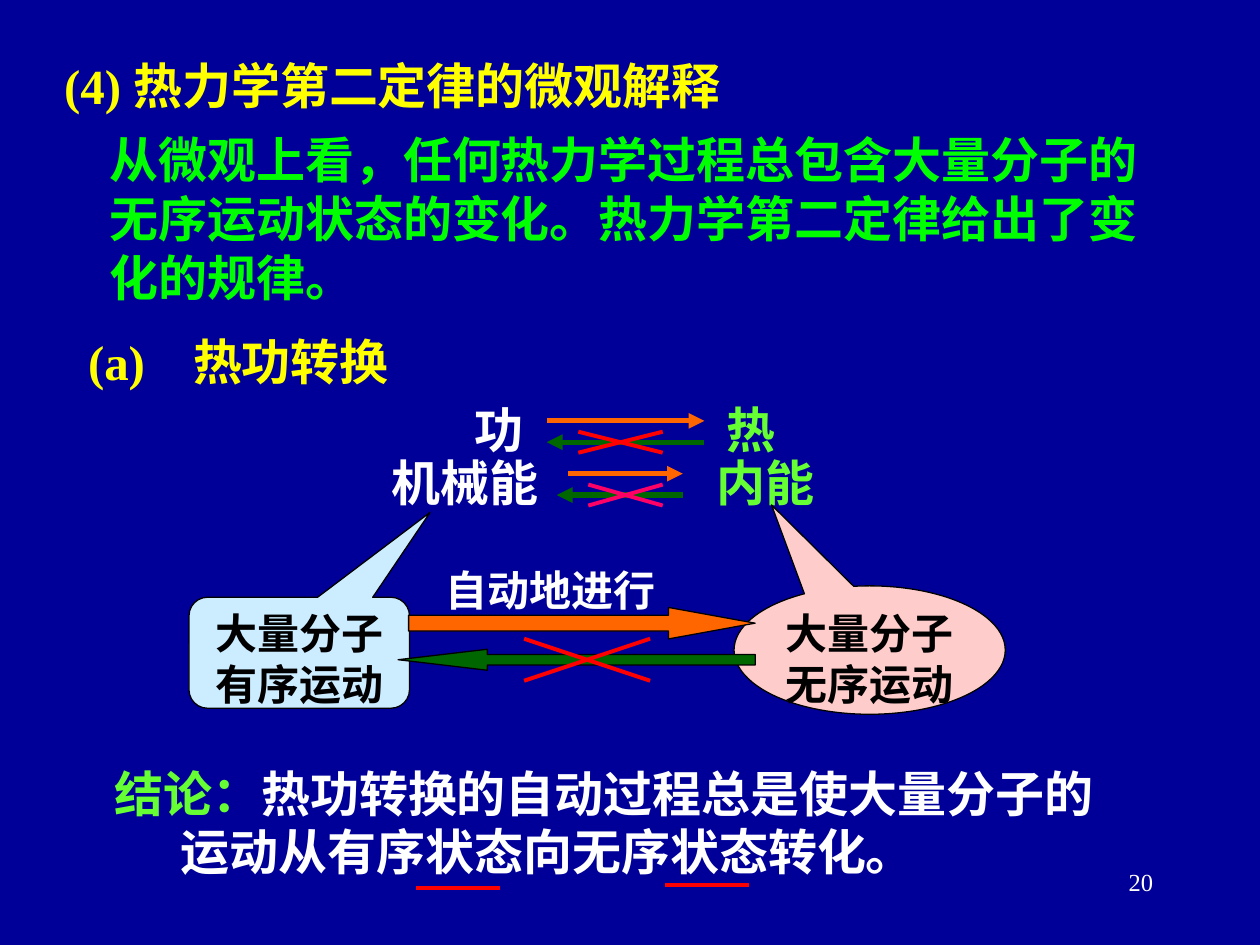
from dataclasses import dataclass

from lxml import etree
from pptx import Presentation
from pptx.dml.color import RGBColor
from pptx.enum.shapes import MSO_CONNECTOR, MSO_SHAPE
from pptx.enum.text import MSO_ANCHOR, PP_ALIGN
from pptx.oxml.ns import qn
from pptx.util import Pt

STRAIGHT = MSO_CONNECTOR.STRAIGHT
ROUND_CALLOUT = MSO_SHAPE.ROUNDED_RECTANGULAR_CALLOUT
OVAL_CALLOUT = MSO_SHAPE.OVAL_CALLOUT
RIGHT_ARROW = MSO_SHAPE.RIGHT_ARROW
LEFT_ARROW = MSO_SHAPE.LEFT_ARROW
TOP, MIDDLE = MSO_ANCHOR.TOP, MSO_ANCHOR.MIDDLE
LEFT, RIGHT = PP_ALIGN.LEFT, PP_ALIGN.RIGHT


@dataclass(frozen=True)
class Theme:
    latin: str = "Times New Roman"
    chinese: str = "Noto Sans CJK SC"
    background: str = "000099"
    heading: str = "FFFF00"
    body: str = "00FF00"
    heat: str = "66FF33"
    plain: str = "FFFFFF"
    dark: str = "000000"
    forward: str = "FF6600"
    backward: str = "006600"
    strike: str = "FF0000"
    strike_pink: str = "FF0066"
    ordered: str = "CCECFF"
    disordered: str = "FFCCCC"
    large: float = 28
    medium: float = 24
    small: float = 14
    large_leading: float = 33.6
    medium_leading: float = 29.5


THEME = Theme()


def rgb(value):
    return RGBColor.from_string(value)


def style_run(run, size, color, bold=True, latin=THEME.latin):
    run.font.size = Pt(size)
    run.font.bold = bold
    run.font.color.rgb = rgb(color)
    run.font.name = latin
    east_asian = etree.SubElement(run.font._element, qn("a:ea"))
    east_asian.set("typeface", THEME.chinese)


def add_text(slide, box, text, color, size=THEME.large, leading=THEME.large_leading,
             anchor=MIDDLE, align=LEFT, bold=True, drop=2):
    label = slide.shapes.add_textbox(*map(Pt, box))
    frame = label.text_frame
    frame.word_wrap = True
    frame.vertical_anchor = anchor
    frame.margin_top, frame.margin_bottom = Pt(3.6 + drop), Pt(3.6 - drop)
    frame.text = text
    for paragraph in frame.paragraphs:
        paragraph.alignment = align
        if leading:
            paragraph.line_spacing = Pt(leading)
        for run in paragraph.runs:
            style_run(run, size, color, bold)
    return frame


def indent(paragraph, margin, first=0):
    properties = paragraph._p.get_or_add_pPr()
    properties.set("marL", str(Pt(margin)))
    properties.set("indent", str(Pt(first)))


def add_line(slide, start, end, color, width, arrow=False):
    line = slide.shapes.add_connector(STRAIGHT, *map(Pt, (*start, *end)))
    line.line.color.rgb = rgb(color)
    line.line.width = Pt(width)
    properties = line._element.spPr
    if arrow:
        etree.SubElement(properties.find(qn("a:ln")), qn("a:tailEnd")).set("type", "triangle")
    etree.SubElement(properties, qn("a:effectLst"))


def add_cross(slide, box, color):
    left, top, width, height = box
    right, bottom = left + width, top + height
    add_line(slide, (left, top), (right, bottom), color, 2.25)
    add_line(slide, (left, bottom), (right, top), color, 2.25)


def add_block(slide, kind, box, fill, adjustments):
    block = slide.shapes.add_shape(kind, *map(Pt, box))
    block.shadow.inherit = False
    block.fill.solid()
    block.fill.fore_color.rgb = rgb(fill)
    block.line.color.rgb = rgb(THEME.dark)
    block.line.width = Pt(0.75)
    for index, value in enumerate(adjustments):
        block.adjustments[index] = value


def draw_introduction(slide, box):
    left, top, width, _ = box
    add_text(slide, (left, top, 527, 41), "(4) 热力学第二定律的微观解释", THEME.heading)
    add_text(slide, (left + 26, top + 42.5, width - 26, 108),
             "从微观上看，任何热力学过程总包含大量分子的无序运动状态的变化。"
             "热力学第二定律给出了变化的规律。", THEME.body)
    topic = add_text(slide, (left + 13.7, top + 157.7, 394, 41), "(a)\t热功转换", THEME.heading)
    indent(topic.paragraphs[0], 60, -60)


def draw_exchange(slide, box, source, target, forward, backward, cross, strike):
    left, top, _, height = box
    source_x, source_name = source
    target_x, target_name = target
    add_text(slide, (left + source_x, top, 140 - source_x, height), source_name, THEME.plain)
    add_text(slide, (left + target_x, top, 114, height), target_name, THEME.heat)
    for (start, end), y, color in ((forward, 18, THEME.forward), (backward, 30.2, THEME.backward)):
        add_line(slide, (left + start, top + y), (left + end, top + y), color, 3, arrow=True)
    start, end = cross
    add_cross(slide, (left + start, top + 24.2, end - start, 12), strike)


def draw_molecules(slide, box):
    left, top, width, _ = box
    add_block(slide, ROUND_CALLOUT, (left, top + 24.5, 126, 63.4), THEME.ordered,
              (0.594, -1.266, 0.167))
    add_block(slide, OVAL_CALLOUT, (left + width - 155, top + 18, 155, 73.4), THEME.disordered,
              (-0.362, -1.131))
    add_block(slide, RIGHT_ARROW, (left + 125.5, top + 30.3, 198, 18), THEME.forward, (0.5, 2.75))
    add_text(slide, (left + 139.7, top, 203, 36), "自动地进行", THEME.plain,
             THEME.medium, THEME.medium_leading)
    add_block(slide, LEFT_ARROW, (left + 119.5, top + 54.2, 204, 12), THEME.backward, (0.5, 4.25))
    add_cross(slide, (left + 191.5, top + 48.2, 72, 24), THEME.strike)
    for x, state in ((8, "有序运动"), (334, "无序运动")):
        add_text(slide, (left + x, top + 23.8, 206, 65), f"大量分子\n{state}", THEME.dark,
                 THEME.medium, THEME.medium_leading, TOP)


def draw_conclusion(slide, box):
    left, top, _, _ = box
    frame = add_text(slide, box, "结论：\n运动从有序状态向无序状态转化。", THEME.plain)
    opening, ending = frame.paragraphs
    opening.runs[0].font.color.rgb = rgb(THEME.heat)
    opening.add_run().text = "热功转换的自动过程总是使大量分子的"
    indent(ending, 38)
    for run in (*opening.runs, *ending.runs):
        run.font.name = THEME.chinese
    style_run(opening.runs[1], THEME.large, THEME.plain, latin=THEME.chinese)
    for x, y in ((179.3, 77), (321.7, 75)):
        add_line(slide, (left + x, top + y), (left + x + 48, top + y), THEME.strike, 2.25)


def main():
    deck = Presentation()
    deck.slide_width, deck.slide_height = Pt(720), Pt(540)
    slide = deck.slides.add_slide(deck.slide_layouts[6])
    slide.background.fill.solid()
    slide.background.fill.fore_color.rgb = rgb(THEME.background)

    draw_introduction(slide, (29.5, 26, 641.5, 199))
    draw_exchange(slide, (216.7, 222.5, 306, 41), (47.5, "功"), (191.5, "热"),
                  (95.8, 185.8), (185.8, 95.8), (113.8, 162), THEME.strike)
    draw_exchange(slide, (216.7, 252.7, 306, 41), (0, "机械能"), (185.8, "内能"),
                  (108, 173.5), (173.5, 101.5), (119.5, 162), THEME.strike_pink)
    draw_molecules(slide, (108, 316.8, 466.5, 92))
    draw_conclusion(slide, (58.3, 430.6, 605, 74.2))
    add_text(slide, (516.2, 491.8, 149.8, 36), "20", THEME.plain, THEME.small,
             None, TOP, RIGHT, bold=False, drop=0)
    deck.save("out.pptx")


if __name__ == "__main__":
    main()
